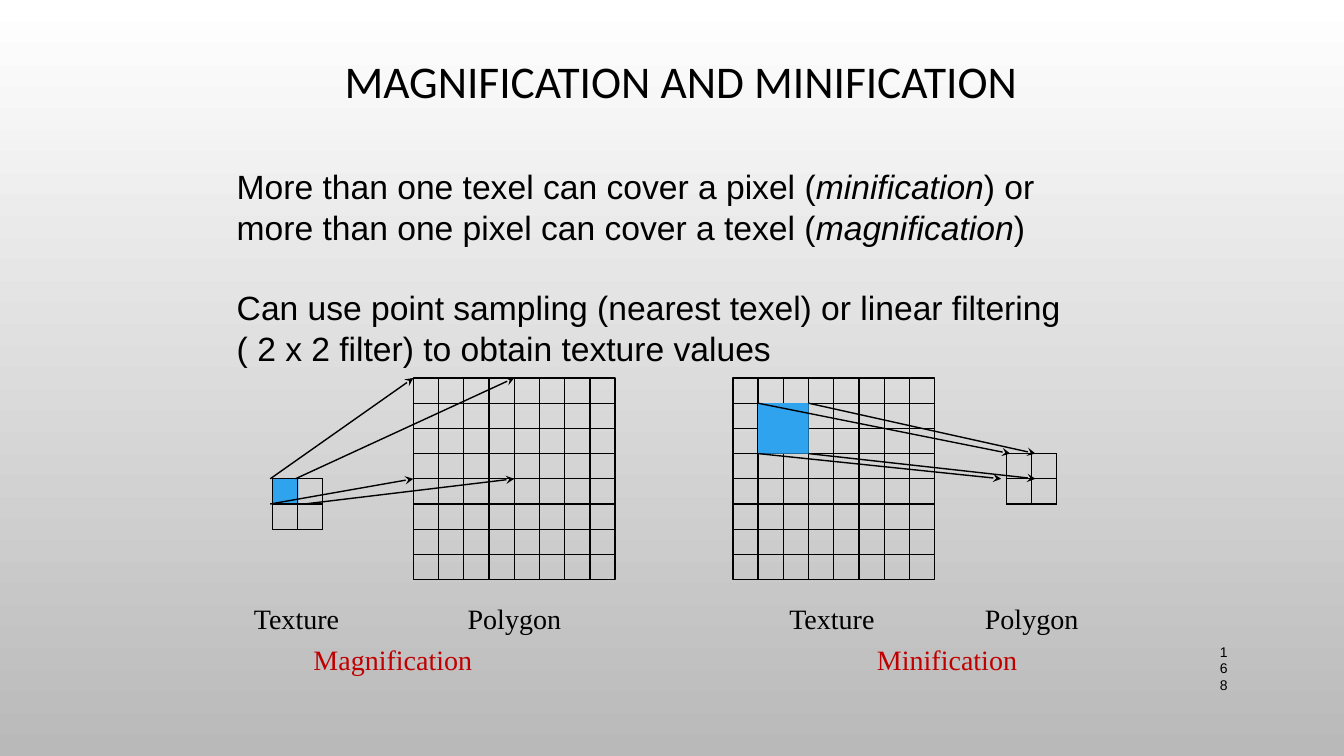
from dataclasses import dataclass

from lxml.etree import SubElement
from pptx import Presentation
from pptx.dml.color import RGBColor
from pptx.enum.shapes import MSO_CONNECTOR, MSO_SHAPE
from pptx.enum.text import MSO_ANCHOR, MSO_AUTO_SIZE, PP_ALIGN
from pptx.oxml.ns import qn
from pptx.util import Inches, Pt


@dataclass(frozen=True)
class Theme:
    """Colours, fonts and type sizes of the slide."""
    ink: str = "000000"
    accent: str = "C00000"
    texel: str = "2FA3EE"
    sky: str = "FFFFFF"
    ground: str = "B9B9B9"
    title_font: str = "Calibri"
    body_font: str = "Arial"
    label_font: str = "Times New Roman"
    title_size: float = 32.4
    body_size: float = 24
    label_size: float = 20
    number_size: float = 10
    body_pitch: float = 28.8
    stroke: float = 1


def write(frame, paragraphs, font, size, color, align=PP_ALIGN.LEFT,
          anchor=MSO_ANCHOR.TOP, wrap=False, spacing=None, gaps=(), level=0):
    """Fill a text frame; each paragraph is a list of runs, every second one italic."""
    frame.auto_size = MSO_AUTO_SIZE.NONE
    frame.word_wrap = wrap
    frame.vertical_anchor = anchor
    for index, runs in enumerate(paragraphs):
        paragraph = frame.paragraphs[0] if index == 0 else frame.add_paragraph()
        paragraph.alignment = align
        paragraph.level = level
        paragraph.space_before = Pt(size) if index in gaps and spacing is None else Pt(0)
        if index in gaps and spacing is not None:
            paragraph.space_before = spacing
        if spacing is not None:
            paragraph.line_spacing = spacing
        for position, words in enumerate(runs):
            run = paragraph.add_run()
            run.text = words
            run.font.name = font
            run.font.size = Pt(size)
            run.font.italic = position % 2 == 1
            run.font.color.rgb = RGBColor.from_string(color)


class TextureSlide:
    """Draws the elements of one slide in one theme."""

    CELL = 0.25

    def __init__(self, deck, theme):
        """Add a title-only slide with the gradient background."""
        self.theme = theme
        self.slide = deck.slides.add_slide(deck.slide_layouts[5])
        self.shapes = self.slide.shapes
        fill = self.slide.background.fill
        fill.gradient()
        fill.gradient_angle = 270
        for stop, color in zip(fill.gradient_stops, (theme.sky, theme.ground)):
            stop.color.rgb = RGBColor.from_string(color)

    def title(self, words, left, top, width, height):
        """Place and format the title placeholder."""
        heading = self.shapes.title
        heading.left, heading.top = Inches(left), Inches(top)
        heading.width, heading.height = Inches(width), Inches(height)
        write(heading.text_frame, [[words]], self.theme.title_font,
              self.theme.title_size, self.theme.ink, align=PP_ALIGN.CENTER,
              anchor=MSO_ANCHOR.MIDDLE, wrap=True, spacing=0.9)

    def text(self, paragraphs, left, top, width, height, **style):
        """Add a text box."""
        box = self.shapes.add_textbox(Inches(left), Inches(top),
                                      Inches(width), Inches(height))
        write(box.text_frame, paragraphs, **style)

    def label(self, words, left, top, width, color):
        """Add a one-line caption."""
        self.text([[words]], left, top, width, 0.44, font=self.theme.label_font,
                  size=self.theme.label_size, color=color)

    def square(self, left, top, size, fill=None):
        """Add a filled texel, or an outlined frame when no fill is given."""
        box = self.shapes.add_shape(MSO_SHAPE.RECTANGLE, Inches(left), Inches(top),
                                    Inches(size), Inches(size))
        box.shadow.inherit = False
        if fill:
            box.fill.solid()
            box.fill.fore_color.rgb = RGBColor.from_string(fill)
            box.line.fill.background()
        else:
            box.fill.background()
            box.line.color.rgb = RGBColor.from_string(self.theme.ink)
            box.line.width = Pt(self.theme.stroke)

    def line(self, start, end, arrow=False):
        """Add a straight line, with a stealth head at its end if asked."""
        rule = self.shapes.add_connector(MSO_CONNECTOR.STRAIGHT,
                                         *map(Inches, (*start, *end)))
        rule.line.color.rgb = RGBColor.from_string(self.theme.ink)
        rule.line.width = Pt(self.theme.stroke)
        if arrow:
            SubElement(rule.line._get_or_add_ln(), qn("a:tailEnd"), type="stealth")
        SubElement(rule._element.spPr, qn("a:effectLst"))

    def grid(self, left, top, cells, framed=False):
        """Draw a square grid, its outer edge as a frame or as lines."""
        size = cells * self.CELL
        if framed:
            self.square(left, top, size)
        for step in range(1, cells) if framed else range(cells + 1):
            offset = step * self.CELL
            self.line((left + offset, top), (left + offset, top + size))
            self.line((left, top + offset), (left + size, top + offset))


def main():
    """Build the slide and save it."""
    theme = Theme()
    deck = Presentation()
    deck.slide_width, deck.slide_height = Inches(13.33), Inches(7.5)
    page = TextureSlide(deck, theme)

    page.text([["168"]], 11.5, 6.43, 0.84, 0.4, font=theme.body_font,
              size=theme.number_size, color=theme.ink, wrap=True,
              anchor=MSO_ANCHOR.MIDDLE, level=1)
    page.title("MAGNIFICATION AND MINIFICATION", 3.17, 0.25, 7.17, 1.17)

    page.square(2.71, 4.75, 0.25, theme.texel)
    page.grid(4.1, 3.75, 8, framed=True)
    page.grid(2.7, 4.75, 2)
    page.grid(7.27, 3.75, 8, framed=True)
    page.grid(9.98, 4.5, 2)
    page.square(7.52, 4, 0.5, theme.texel)

    for words, left, top, width, color in (
        ("Texture", 2.42, 5.92, 1.06, theme.ink),
        ("Polygon", 4.54, 5.92, 1.14, theme.ink),
        ("Magnification", 3.01, 6.32, 1.79, theme.accent),
        ("Texture", 7.73, 5.92, 1.06, theme.ink),
        ("Polygon", 9.67, 5.92, 1.14, theme.ink),
        ("Minification", 8.6, 6.32, 1.6, theme.accent),
    ):
        page.label(words, left, top, width, color)

    for texel_corner, pixel_corner in (
        ((2.68, 4.75), (4.1, 3.75)),
        ((2.93, 4.75), (5.1, 3.75)),
        ((2.68, 5), (4.1, 4.75)),
        ((3.02, 5), (5.1, 4.75)),
        ((8.02, 4), (10.27, 4.5)),
        ((8.02, 4.5), (10.27, 4.75)),
        ((7.52, 4), (10.02, 4.5)),
        ((7.52, 4.5), (9.93, 4.75)),
    ):
        page.line(texel_corner, pixel_corner, arrow=True)

    page.text([
        ["More than one texel can cover a pixel (", "minification", ") or"],
        ["more than one pixel can cover a texel (", "magnification", ")"],
        ["Can use point sampling (nearest texel) or linear filtering"],
        ["( 2 x 2 filter) to obtain texture values"],
    ], 2.25, 1.6, 8.46, 2.52, font=theme.body_font, size=theme.body_size,
        color=theme.ink, spacing=Pt(theme.body_pitch), gaps=(2,))

    deck.save("out.pptx")


if __name__ == "__main__":
    main()
